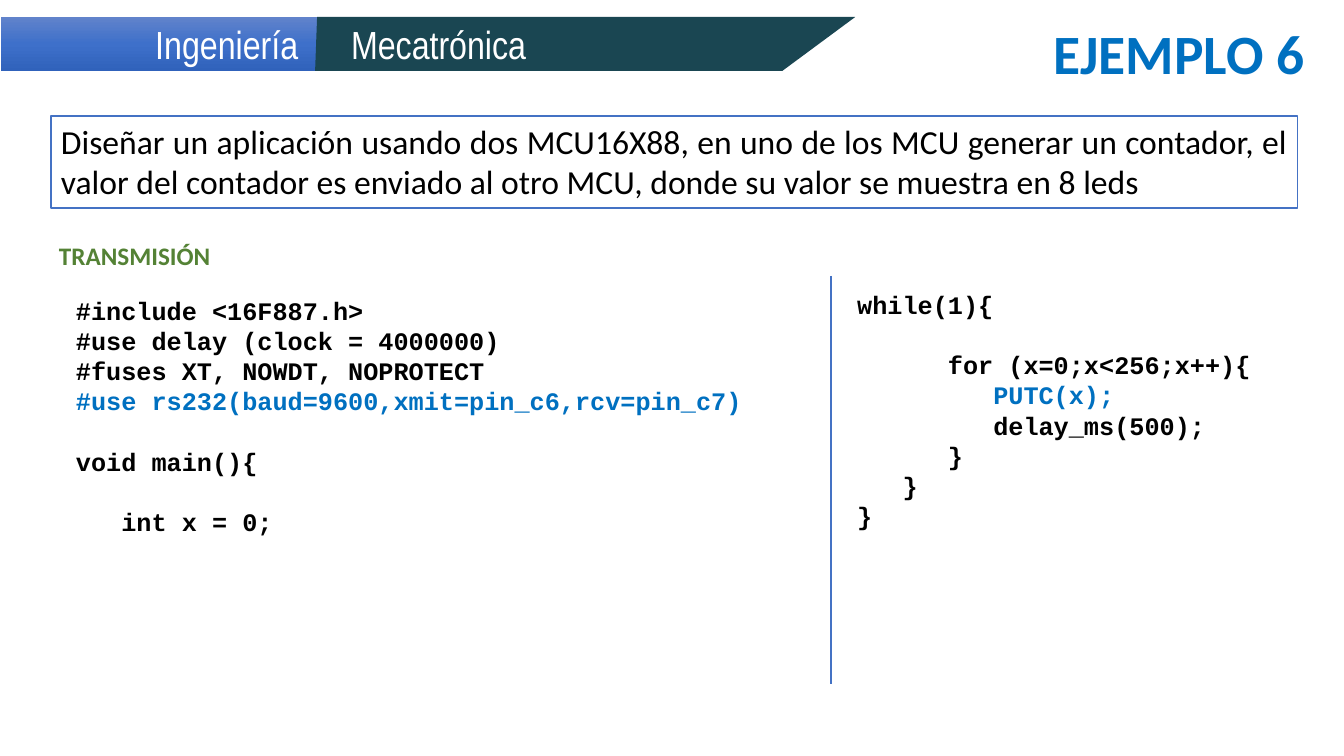
from copy import deepcopy
from dataclasses import dataclass

from pptx import Presentation
from pptx.dml.color import RGBColor
from pptx.enum.shapes import MSO_CONNECTOR, MSO_SHAPE
from pptx.enum.text import MSO_ANCHOR, PP_ALIGN
from pptx.oxml.ns import qn
from pptx.util import Inches, Pt

RECTANGLE = MSO_SHAPE.RECTANGLE
STRAIGHT = MSO_CONNECTOR.STRAIGHT
TOP, MIDDLE = MSO_ANCHOR.TOP, MSO_ANCHOR.MIDDLE
LEFT, RIGHT, JUSTIFY = PP_ALIGN.LEFT, PP_ALIGN.RIGHT, PP_ALIGN.JUSTIFY

# Content: an empty code line becomes a gap before the next one
BANNER = ("Ingeniería", "Mecatrónica")
TITLE = "EJEMPLO 6"
STATEMENT = (
    "Diseñar un aplicación usando dos MCU16X88, en uno de los MCU generar un "
    "contador, el valor del contador es enviado al otro MCU, donde su valor se "
    "muestra en 8 leds"
)
SECTION = "TRANSMISIÓN"
SETUP_CODE = [
    "#include <16F887.h>",
    "#use delay (clock = 4000000)",
    "#fuses XT, NOWDT, NOPROTECT",
    "#use rs232(baud=9600,xmit=pin_c6,rcv=pin_c7)",
    "",
    "void main(){",
    "",
    "   int x = 0;",
]
LOOP_CODE = [
    "while(1){",
    "",
    "      for (x=0;x<256;x++){",
    "         PUTC(x);",
    "         delay_ms(500);",
    "      }",
    "   }",
    "}",
]
HIGHLIGHTED = ("#use rs232", "PUTC")

# Places in px: left, top, width, height
BANNER_BOX = (1, 17, 316, 54)
BANNER_POINTS = [(317, 17), (315, 71), (782, 71), (855, 17)]
TITLE_BOX = (648, 21, 666, 72)
STATEMENT_BOX = (51, 116, 1246, 92)
SECTION_BOX = (49, 235, 173, 40)
SETUP_BOX = (66, 290, 690, 316)
LOOP_BOX = (847, 284, 418, 254)
DIVIDER = (831, 276, 831, 684)
BANNER_INSET_RIGHT, BANNER_INSET_LEFT = 19, 36


@dataclass(frozen=True)
class Theme:
    black: str = "000000"
    white: str = "FFFFFF"
    blue: str = "0070C0"
    line: str = "4472C4"
    green: str = "548235"
    teal: str = "1A4652"
    gradient: tuple = ((0, "6183CB"), (0.5, "3E70CA"), (1, "3062BB"))
    body: str = "Calibri"
    banner: str = "Arial Narrow"
    code: str = "Courier New"
    title_size: float = 39.6
    banner_size: int = 28
    statement_size: int = 24
    small_size: int = 18
    code_line: float = 21.6
    line_width: int = 1


THEME = Theme()
SCALE = Inches(1) / 100.8


def px(value):
    return round(value * SCALE)


def place(box):
    return [px(value) for value in box]


def rgb(color):
    return RGBColor.from_string(color)


def style(para, font, size, color, bold=False, align=LEFT):
    para.alignment = align
    para.font.name = font
    para.font.size = Pt(size)
    para.font.bold = bold
    para.font.color.rgb = rgb(color)


def write(shape, text, font, size, color, bold=False, align=LEFT, anchor=TOP, wrap=True):
    frame = shape.text_frame
    frame.word_wrap = wrap
    frame.vertical_anchor = anchor
    frame.text = text
    style(frame.paragraphs[0], font, size, color, bold, align)
    return frame


def write_code(shape, lines):
    frame = shape.text_frame
    frame.word_wrap = True
    para, gap = frame.paragraphs[0], 0
    for index, line in enumerate(lines):
        if not line:
            gap += THEME.code_line
            continue
        if index:
            para = frame.add_paragraph()
        para.text = line
        marked = line.strip().startswith(HIGHLIGHTED)
        style(para, THEME.code, THEME.small_size, THEME.blue if marked else THEME.black, True)
        if gap:
            para.space_before = Pt(gap)
        gap = 0


def fill_gradient(shape):
    shape.fill.gradient()
    shape.fill.gradient_angle = 270
    stop_list = shape._element.spPr.find(qn("a:gradFill")).find(qn("a:gsLst"))
    stop_list.append(deepcopy(stop_list[-1]))
    for stop, (position, color) in zip(shape.fill.gradient_stops, THEME.gradient):
        stop.position = position
        stop.color.rgb = rgb(color)


def main():
    deck = Presentation()
    deck.slide_width, deck.slide_height = Inches(13.33), Inches(7.5)
    page = deck.slides.add_slide(deck.slide_layouts[6])
    shapes = page.shapes

    # Banner
    left_band = shapes.add_shape(RECTANGLE, *place(BANNER_BOX))
    fill_gradient(left_band)
    builder = shapes.build_freeform(*BANNER_POINTS[0], scale=SCALE)
    builder.add_line_segments(BANNER_POINTS[1:], close=True)
    right_band = builder.convert_to_shape()
    right_band.fill.solid()
    right_band.fill.fore_color.rgb = rgb(THEME.teal)
    for band, word, align in zip((left_band, right_band), BANNER, (RIGHT, LEFT)):
        band.shadow.inherit = False
        band.line.fill.background()
        frame = write(band, word, THEME.banner, THEME.banner_size, THEME.white,
                      align=align, anchor=MIDDLE)
        if align == RIGHT:
            frame.margin_right = px(BANNER_INSET_RIGHT)
        else:
            frame.margin_left = px(BANNER_INSET_LEFT)

    # Title
    title = write(shapes.add_textbox(*place(TITLE_BOX)), TITLE, THEME.body,
                  THEME.title_size, THEME.blue, True, RIGHT, MIDDLE)
    title.paragraphs[0].line_spacing = 0.9

    # Statement
    statement = shapes.add_shape(RECTANGLE, *place(STATEMENT_BOX))
    statement.shadow.inherit = False
    statement.fill.solid()
    statement.fill.fore_color.rgb = rgb(THEME.white)
    statement.line.color.rgb = rgb(THEME.line)
    statement.line.width = Pt(THEME.line_width)
    write(statement, STATEMENT, THEME.body, THEME.statement_size, THEME.black, align=JUSTIFY)

    # Divider
    divider = shapes.add_connector(STRAIGHT, *place(DIVIDER))
    divider.line.color.rgb = rgb(THEME.line)
    divider.line.width = Pt(THEME.line_width)
    properties = divider._element.spPr
    properties.append(properties.makeelement(qn("a:effectLst"), {}))

    # Section label and code columns
    write(shapes.add_textbox(*place(SECTION_BOX)), SECTION, THEME.body,
          THEME.small_size, THEME.green, True, wrap=False)
    for box, lines in ((SETUP_BOX, SETUP_CODE), (LOOP_BOX, LOOP_CODE)):
        write_code(shapes.add_textbox(*place(box)), lines)

    deck.save("out.pptx")


if __name__ == "__main__":
    main()
